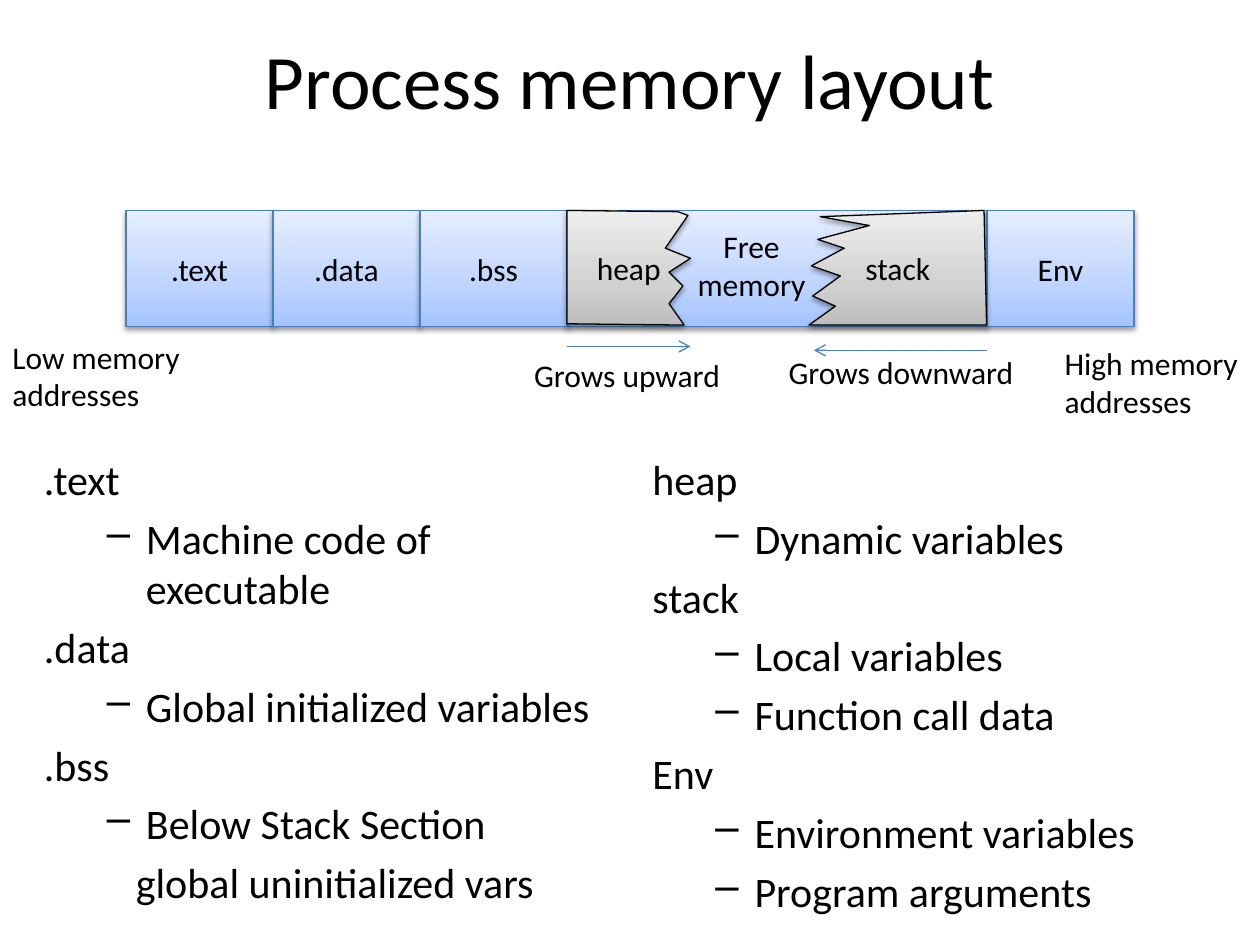
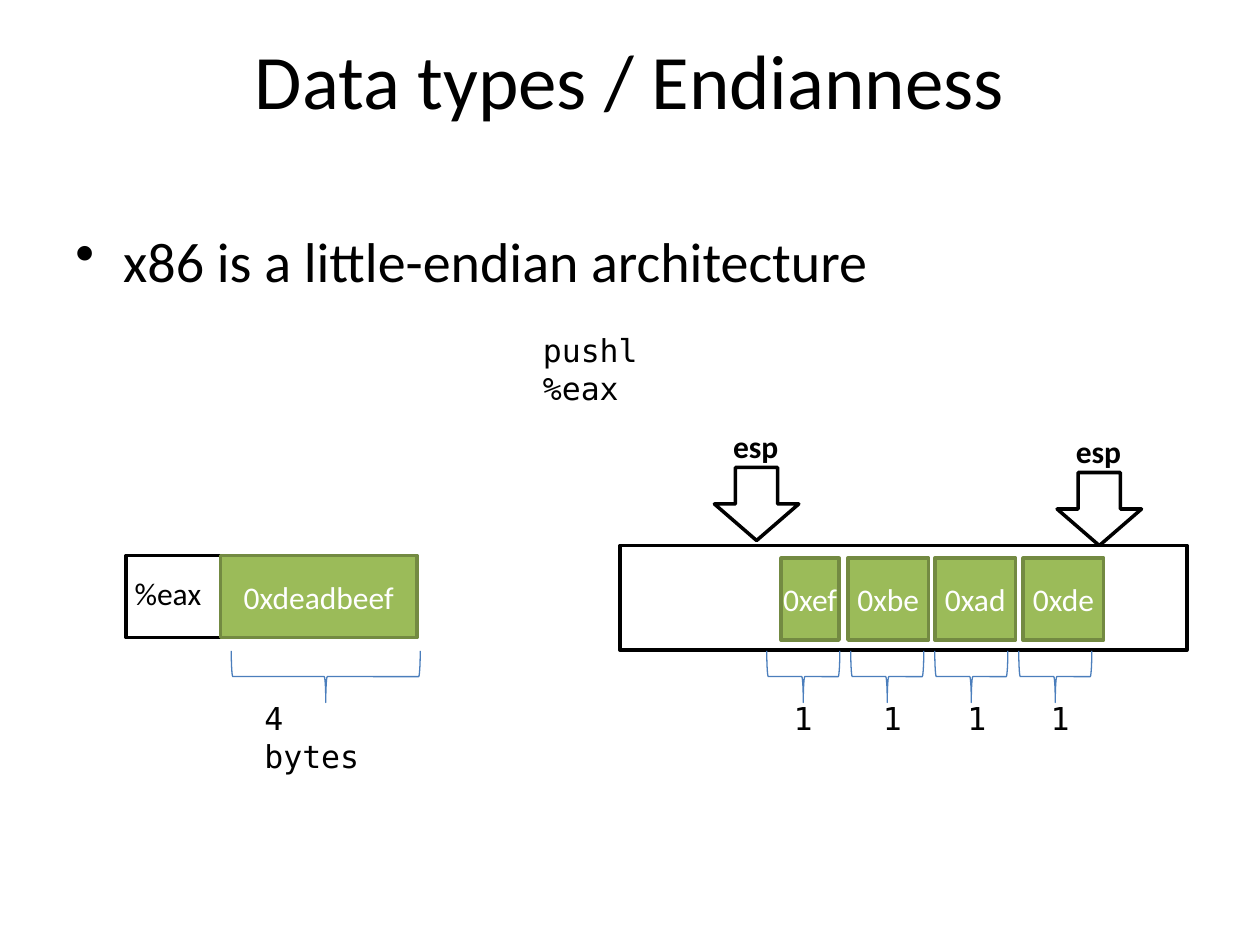
from pptx import Presentation
from pptx import util as u
from pptx.dml.color import RGBColor
from pptx.enum import shapes, text
from pptx.oxml import parse_xml
from pptx.oxml.ns import nsdecls
from pptx.oxml.xmlchemy import OxmlElement

Inches = u.Inches
BLACK = RGBColor(0x00, 0x00, 0x00)
WHITE = RGBColor(0xFF, 0xFF, 0xFF)
BLUE = RGBColor(0x4B, 0x7E, 0xBC)
GREEN = RGBColor(0x9B, 0xBB, 0x59)
DARK_GREEN = RGBColor(0x73, 0x8A, 0x42)
BLUE_FADE = [(0, "A4C4FF"), (35, "BFD4FF"), (100, "E6EEFF")]
GRAY_FADE = [(0, "BDBDBD"), (35, "D1D1D1"), (100, "EEEEEE")]
MONO = "DejaVu Sans Mono"
CENTER = text.PP_ALIGN.CENTER
MIDDLE = text.MSO_ANCHOR.MIDDLE
RECTANGLE = shapes.MSO_SHAPE.RECTANGLE

# level: left margin, first-line indent, bullet
LEVELS = {
    "point": (0.38, -0.38, "•"),
    "heading": (0, 0, None),
    "dash": (0.81, -0.31, "–"),
    "continued": (0.73, 0, None),
}
TITLE = {"size": 44, "align": CENTER, "anchor": MIDDLE}
LABEL = {"wrap": False}
CELL = {"align": CENTER, "anchor": MIDDLE}
GREEN_CELL = {**CELL, "color": WHITE}


def write(shape, lines, size=18, font="Calibri", color=BLACK, bold=False, align=text.PP_ALIGN.LEFT,
          anchor=text.MSO_ANCHOR.TOP, wrap=True, side_margin=0.1):
    """Fill a shape with lines, each a string or a (string, level) pair."""
    frame = shape.text_frame
    settings = {"word_wrap": wrap, "vertical_anchor": anchor,
                "margin_left": Inches(side_margin), "margin_right": Inches(side_margin)}
    if not wrap:
        settings["auto_size"] = text.MSO_AUTO_SIZE.SHAPE_TO_FIT_TEXT
    for name, value in settings.items():
        setattr(frame, name, value)
    for index, line in enumerate(lines):
        words, level = (line, None) if isinstance(line, str) else line
        paragraph = frame.add_paragraph() if index else frame.paragraphs[0]
        paragraph.alignment = align
        run = paragraph.add_run()
        run.text = words
        for name, value in {"size": u.Pt(size), "name": font, "bold": bold}.items():
            setattr(run.font, name, value)
        run.font.color.rgb = color
        if level:
            left, indent, bullet = LEVELS[level]
            paragraph.space_before = u.Pt(size * 0.2)
            properties = paragraph._p.get_or_add_pPr()
            properties.set("marL", str(Inches(left)))
            properties.set("indent", str(Inches(indent)))
            if bullet:
                mark = OxmlElement("a:buChar")
                mark.set("char", bullet)
                properties.append(mark)


def paint(shape, fill, line, width):
    """Apply an outline and a plain colour, no fill, or a shadowed gradient."""
    shape.line.color.rgb = line
    shape.line.width = u.Pt(width)
    shape.shadow.inherit = False
    if fill is None:
        shape.fill.background()
    elif isinstance(fill, RGBColor):
        shape.fill.solid()
        shape.fill.fore_color.rgb = fill
    else:
        stops = "".join(f'<a:gs pos="{position * 1000}"><a:srgbClr val="{color}"/></a:gs>'
                        for position, color in fill)
        properties = shape._element.spPr
        properties.insert(2, parse_xml(
            f'<a:gradFill {nsdecls("a")} rotWithShape="1"><a:gsLst>{stops}</a:gsLst>'
            '<a:lin ang="16200000" scaled="0"/></a:gradFill>'))
        properties.remove(properties.find("{*}effectLst"))
        properties.append(parse_xml(
            f'<a:effectLst {nsdecls("a")}><a:outerShdw blurRad="40000" dist="20000" dir="5400000" '
            'rotWithShape="0"><a:srgbClr val="000000"><a:alpha val="38000"/></a:srgbClr>'
            '</a:outerShdw></a:effectLst>'))


presentation = Presentation()
presentation.slide_width, presentation.slide_height = Inches(10), Inches(7.5)
slides = []
for title in ["Process memory layout", "Data types / Endianness"]:
    slide = presentation.slides.add_slide(presentation.slide_layouts[6])
    write(slide.shapes.add_textbox(*map(Inches, (0.5, 0, 9, 1.25))), [title], **TITLE)
    slides.append(slide)
memory, endianness = slides

# Memory layout: the section descriptions
columns = [
    (0.25, [(".text", "heading"), ("Machine code of executable", "dash"),
            (".data", "heading"), ("Global initialized variables", "dash"),
            (".bss", "heading"), ("Below Stack Section", "dash"),
            ("global uninitialized vars", "continued")]),
    (5.08, [("heap", "heading"), ("Dynamic variables", "dash"),
            ("stack", "heading"), ("Local variables", "dash"), ("Function call data", "dash"),
            ("Env", "heading"), ("Environment variables", "dash"),
            ("Program arguments", "dash")]),
]
for left, lines in columns:
    write(memory.shapes.add_textbox(*map(Inches, (left, 3.55, 4.75, 4.95))), lines, size=24)

# Memory layout: the bar of sections
BAR_TOP, BAR_HEIGHT, SECTION = 1.67, 0.92, 7 / 6
sections = [(4.5, 3.33, None)] + [
    (1 + SECTION * place, SECTION, name)
    for place, name in [(0, ".text"), (1, ".data"), (2, ".bss"), (35 / 6 / SECTION + 1 / SECTION, "Env")]
]
for left, width, name in sections:
    section = memory.shapes.add_shape(RECTANGLE, *map(Inches, (left, BAR_TOP, width, BAR_HEIGHT)))
    paint(section, BLUE_FADE, BLUE, 0.75)
    if name:
        write(section, [name], **CELL)

torn_sections = {
    "heap": [(4.5, 1.67), (4.5, 2.57), (5.43, 2.58), (5.31, 2.41), (5.42, 2.27), (5.31, 2.16),
             (5.48, 2.05), (5.28, 1.97), (5.46, 1.71), (5.38, 1.68)],
    "stack": [(7.81, 1.67), (7.83, 2.58), (6.42, 2.58), (6.63, 2.43), (6.45, 2.35), (6.67, 2.19),
              (6.44, 2.11), (6.7, 1.97), (6.49, 1.9), (6.9, 1.79), (6.51, 1.72)],
}
for name, outline in torn_sections.items():
    points = [(Inches(x), Inches(y)) for x, y in outline]
    builder = memory.shapes.build_freeform(*points[0])
    builder.add_line_segments(points[1:], close=True)
    torn = builder.convert_to_shape()
    paint(torn, GRAY_FADE, BLACK, 0.75)
    write(torn, [name], **CELL)

write(memory.shapes.add_textbox(*map(Inches, (5.43, 1.75, 1.07, 0.71))), ["Free", "memory"],
      align=CENTER, **LABEL)
for box, lines in [
    ((8.35, 2.68, 1.65, 0.71), ["High memory", "addresses"]),
    ((0, 2.63, 1.6, 0.71), ["Low memory", "addresses"]),
    ((4.14, 2.78, 1.69, 0.4), ["Grows upward"]),
    ((6.16, 2.75, 2.01, 0.4), ["Grows downward"]),
]:
    write(memory.shapes.add_textbox(*map(Inches, box)), lines, **LABEL)

for start, end, height in [(4.5, 5.48, 2.75), (7.83, 6.46, 2.78)]:
    arrow = memory.shapes.add_connector(shapes.MSO_CONNECTOR.STRAIGHT,
                                        *map(Inches, (start, height, end, height)))
    arrow.line.color.rgb = BLUE
    arrow.line.width = u.Pt(0.75)
    head = OxmlElement("a:tailEnd")
    head.set("type", "arrow")
    arrow.line._get_or_add_ln().append(head)
    arrow._element.spPr.append(OxmlElement("a:effectLst"))

# Endianness: the register and the stack it is pushed to
write(endianness.shapes.add_textbox(*map(Inches, (0.5, 1.75, 9, 4.95))),
      [("x86 is a little-endian architecture", "point")], size=32)

for box in [(1, 4.41, 2.3, 0.65), (4.92, 4.33, 4.5, 0.83)]:
    paint(endianness.shapes.add_shape(RECTANGLE, *map(Inches, box)), WHITE, BLACK, 2)
write(endianness.shapes.add_textbox(*map(Inches, (0.97, 4.51, 0.74, 0.4))), ["%eax"], **LABEL)

for left, top, width, value, margin in [
    (1.75, 4.41, 1.56, "0xdeadbeef", 0.1),
    (8.12, 4.43, 0.64, "0xde", 0),
    (7.42, 4.43, 0.64, "0xad", 0),
    (6.73, 4.43, 0.64, "0xbe", 0),
    (6.2, 4.43, 0.46, "0xef", 0),
]:
    cell = endianness.shapes.add_shape(RECTANGLE, *map(Inches, (left, top, width, 0.65)))
    paint(cell, GREEN, DARK_GREEN, 2)
    write(cell, [value], side_margin=margin, **GREEN_CELL)

for left, top in [(8.39, 3.75), (5.67, 3.71)]:
    pointer = endianness.shapes.add_shape(shapes.MSO_SHAPE.DOWN_ARROW,
                                          *map(Inches, (left, top, 0.67, 0.58)))
    paint(pointer, WHITE, BLACK, 2)
    label = endianness.shapes.add_textbox(*map(Inches, (left + 0.05, top - 0.37, 0.56, 0.4)))
    write(label, ["esp"], bold=True, **LABEL)

braces = [(2.38, 4.62, 1.5)] + [(6.17 + index * 2 / 3, 5.08, 0.58) for index in range(4)]
for left, top, span in braces:
    brace = endianness.shapes.add_shape(shapes.MSO_SHAPE.RIGHT_BRACE,
                                        *map(Inches, (left, top, 0.41, span)))
    brace.rotation = 90
    brace.adjustments[0] = 0.03
    paint(brace, None, BLUE, 0.75)

mono_labels = [(4.21, 2.58, 1.59, "pushl %eax"), (2, 5.5, 1.17, "4 bytes")]
mono_labels += [(left, 5.5, 0.34, "1") for left in (6.2, 6.91, 7.58, 8.24)]
for left, top, width, words in mono_labels:
    write(endianness.shapes.add_textbox(*map(Inches, (left, top, width, 0.4))), [words], font=MONO)

presentation.save("out.pptx")
